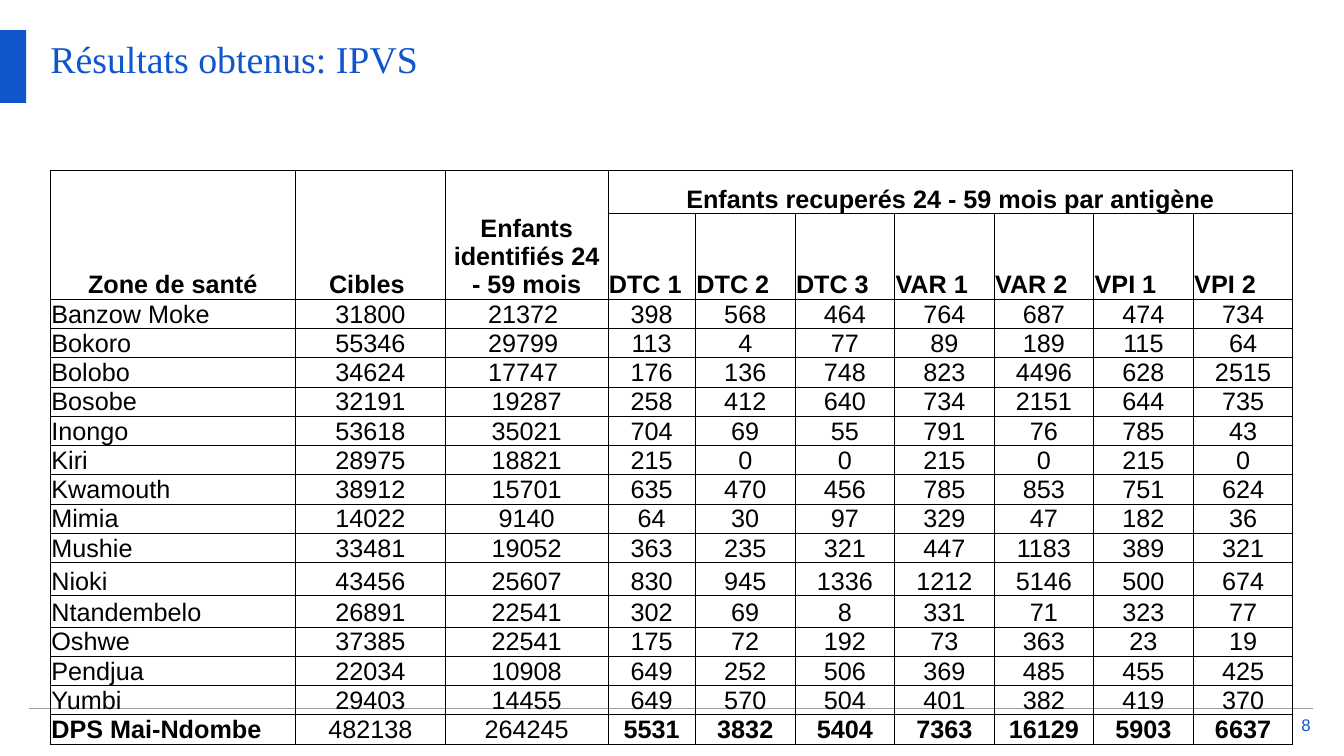
from lxml import etree
from pptx import Presentation
from pptx import util as u
from pptx.dml.color import RGBColor
from pptx.enum import shapes, text
from pptx.oxml import ns

BLUE = RGBColor(0x11, 0x55, 0xCC)
GREY = RGBColor(0x9E, 0x9E, 0x9E)
BLACK = RGBColor(0x00, 0x00, 0x00)

LEFT, CENTER, RIGHT = text.PP_ALIGN.LEFT, text.PP_ALIGN.CENTER, text.PP_ALIGN.RIGHT

# Column widths and row heights, in percent of the slide
COLUMNS = [18.22, 11.18, 12.08, 6.52] + [7.41] * 6
ROWS = [5.73, 11.2] + [3.6] * 9 + [4.4, 4.13] + [3.6] * 3 + [3.87]

GROUP_HEADINGS = ["Zone de santé", "Cibles ", "Enfants identifiés 24 - 59 mois",
                  "Enfants recuperés 24 - 59 mois par antigène"]
ANTIGENS = ["DTC 1", "DTC 2", "DTC 3", "VAR 1", "VAR 2", "VPI 1", "VPI 2"]
ZONES = """\
Banzow Moke|31800|21372 |398|568|464|764|687|474|734
Bokoro|55346|29799 |113|4|77|89|189|115|64
Bolobo|34624|17747 |176|136|748|823|4496|628|2515
Bosobe|32191|19287|258|412|640|734|2151|644|735
Inongo|53618|35021|704|69|55|791|76|785|43
Kiri|28975|18821|215|0|0|215|0|215|0
Kwamouth|38912|15701|635|470|456|785|853|751|624
Mimia|14022|9140|64|30|97|329|47|182|36
Mushie|33481|19052|363|235|321|447|1183|389|321
Nioki|43456|25607|830|945|1336|1212|5146|500|674
Ntandembelo|26891|22541|302|69|8|331|71|323|77
Oshwe|37385|22541|175|72|192|73|363|23|19
Pendjua|22034|10908|649|252|506|369|485|455|425
Yumbi|29403|14455|649|570|504|401|382|419|370
DPS Mai-Ndombe|482138|264245|5531|3832|5404|7363|16129|5903|6637"""


def set_all(target, values):
    for name, value in values.items():
        setattr(target, name, value)


class SlideBuilder:
    """Places elements by percent of the slide's width and height."""

    title_font = {"name": "Times New Roman", "size": u.Pt(27), "bold": False}
    number_font = {"name": "Arial", "size": u.Pt(12)}
    cell_font = {"name": "Arial", "size": u.Pt(18)}
    no_margins = dict.fromkeys(
        ["margin_left", "margin_top", "margin_right", "margin_bottom"], 0)
    cell_format = {"margin_left": u.Inches(0.01), "margin_top": u.Inches(0.01),
                   "margin_right": u.Inches(0.01), "margin_bottom": 0,
                   "vertical_anchor": text.MSO_ANCHOR.BOTTOM}

    def __init__(self, presentation):
        self.width = presentation.slide_width
        self.height = presentation.slide_height
        self.slide = presentation.slides.add_slide(presentation.slide_layouts[5])

    def x(self, share):
        return u.Emu(round(self.width * share / 100))

    def y(self, share):
        return u.Emu(round(self.height * share / 100))

    def box(self, left, top, width, height):
        return self.x(left), self.y(top), self.x(width), self.y(height)

    def add_words(self, frame, words, font, color, alignment):
        paragraph = frame.paragraphs[0]
        paragraph.alignment = alignment
        run = paragraph.add_run()
        run.text = words
        set_all(run.font, font)
        run.font.color.rgb = color

    def fill_frame(self, shape, words, font, anchor, alignment):
        frame = shape.text_frame
        set_all(frame, {**self.no_margins, "word_wrap": True, "vertical_anchor": anchor,
                        "auto_size": text.MSO_AUTO_SIZE.NONE})
        self.add_words(frame, words, font, BLUE, alignment)

    def title(self, words, *place):
        shape = self.slide.shapes.title
        set_all(shape, dict(zip(["left", "top", "width", "height"], self.box(*place))))
        self.fill_frame(shape, words, self.title_font, text.MSO_ANCHOR.TOP, LEFT)

    def page_number(self, words, *place):
        shape = self.slide.shapes.add_textbox(*self.box(*place))
        self.fill_frame(shape, words, self.number_font, text.MSO_ANCHOR.MIDDLE, RIGHT)

    def bar(self, *place):
        shape = self.slide.shapes.add_shape(
            shapes.MSO_SHAPE.RECTANGLE, *self.box(*place))
        shape.shadow.inherit = False
        shape.fill.solid()
        shape.fill.fore_color.rgb = BLUE
        shape.line.fill.background()

    def rule(self, start, end, height):
        line = self.slide.shapes.add_connector(
            shapes.MSO_CONNECTOR.STRAIGHT,
            self.x(start), self.y(height), self.x(end), self.y(height))
        line.line.color.rgb = GREY
        line.line.width = u.Pt(1)
        etree.SubElement(line._element.spPr, ns.qn("a:effectLst"))

    def table(self, left, top, columns, rows):
        shape = self.slide.shapes.add_table(
            len(rows), len(columns), *self.box(left, top, sum(columns), sum(rows)))
        table = shape.table
        set_all(table, {"first_row": False, "horz_banding": False})
        for column, width in zip(table.columns, columns):
            column.width = self.x(width)
        for row, height in zip(table.rows, rows):
            row.height = self.y(height)
        for cell in table.iter_cells():
            set_all(cell, self.cell_format)
            self.borders(cell)
            cell.fill.background()
        return table

    def borders(self, cell):
        properties = cell._tc.get_or_add_tcPr()
        for side in ("lnL", "lnR", "lnT", "lnB"):
            line = etree.SubElement(properties, ns.qn(f"a:{side}"), w=str(u.Pt(0.5)))
            solid = etree.SubElement(line, ns.qn("a:solidFill"))
            etree.SubElement(solid, ns.qn("a:srgbClr"), val=str(BLACK))

    def cell(self, cell, words, bold, alignment):
        self.add_words(cell.text_frame, words, {**self.cell_font, "bold": bold},
                       BLACK, alignment)


def main():
    presentation = Presentation()
    presentation.slide_width = u.Inches(13.33)
    presentation.slide_height = u.Inches(7.5)
    builder = SlideBuilder(presentation)

    # Title, accent bar and footer
    builder.title("Résultats obtenus: IPVS", 3.75, 4.67, 92.5, 10.67)
    builder.bar(0, 4, 1.95, 9.6)
    builder.page_number("8", 95.65, 94.67, 1.88, 2.4)
    builder.rule(2.18, 97.67, 93.73)

    # Table headings
    table = builder.table(3.75, 22.53, COLUMNS, ROWS)
    for column in range(3):
        table.cell(0, column).merge(table.cell(1, column))
    table.cell(0, 3).merge(table.cell(0, len(COLUMNS) - 1))
    for column, heading in enumerate(GROUP_HEADINGS):
        builder.cell(table.cell(0, column), heading, True, CENTER)
    for column, antigen in enumerate(ANTIGENS, start=3):
        builder.cell(table.cell(1, column), antigen, True, LEFT)

    # Health zones, with the total in the last row
    for row, zone in enumerate(ZONES.split("\n"), start=2):
        is_total = row == len(ROWS) - 1
        for column, value in enumerate(zone.split("|")):
            bold = is_total and column not in (1, 2)
            builder.cell(table.cell(row, column), value, bold,
                         CENTER if column else LEFT)

    presentation.save("out.pptx")


if __name__ == "__main__":
    main()
